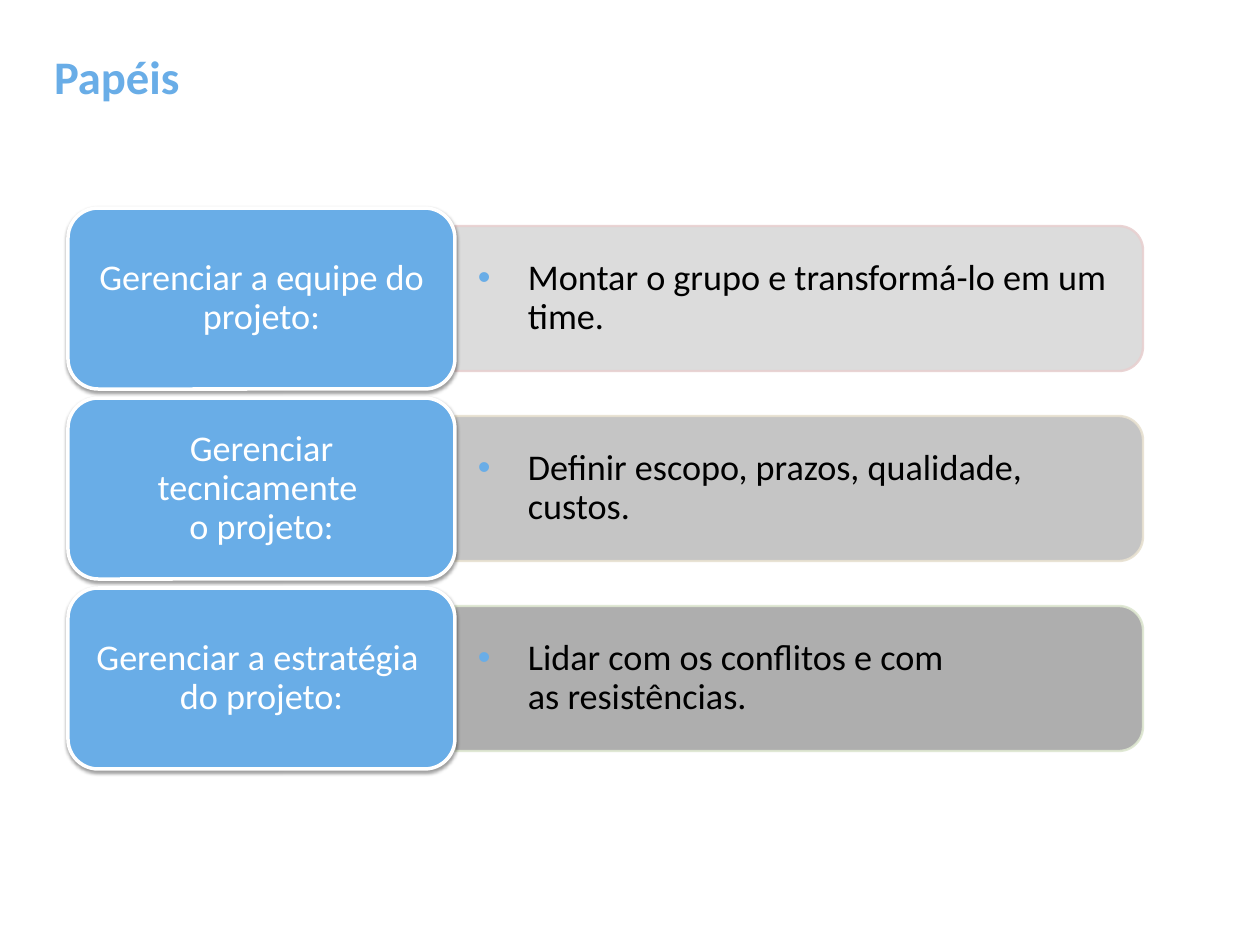
from dataclasses import dataclass

from lxml.etree import SubElement
from pptx import Presentation
from pptx.dml.color import RGBColor
from pptx.enum.shapes import MSO_SHAPE
from pptx.enum.text import MSO_ANCHOR, PP_ALIGN
from pptx.oxml.ns import qn
from pptx.util import Emu, Pt

PX = 914400 / 84
BLUE = RGBColor(0x69, 0xAD, 0xE7)
WHITE = RGBColor(0xFF, 0xFF, 0xFF)
BLACK = RGBColor(0x00, 0x00, 0x00)
FONT = "Calibri"
PITCH = 190


@dataclass(frozen=True)
class Role:
    name: str
    task: str
    fill: RGBColor
    line: RGBColor


ROLES = (
    Role("Gerenciar a equipe do projeto:", "Montar o grupo e transformá-lo em um time.",
         RGBColor(0xD9, 0xD9, 0xD9), RGBColor(0xE8, 0xD0, 0xD0)),
    Role("Gerenciar tecnicamente \vo projeto:", "Definir escopo, prazos, qualidade, custos.",
         RGBColor(0xBF, 0xBF, 0xBF), RGBColor(0xE8, 0xE1, 0xD1)),
    Role("Gerenciar a estratégia \vdo projeto:", "Lidar com os conflitos e com \vas resistências.",
         RGBColor(0xA6, 0xA6, 0xA6), RGBColor(0xDE, 0xE7, 0xD1)),
)


def px(n: float) -> Emu:
    return Emu(round(n * PX))


def box(x: int, y: int, w: int, h: int) -> tuple:
    return tuple(px(n) for n in (x, y, w, h))


def add_bullet(p, indent: int) -> None:
    p.level = 1
    pPr = p._p.get_or_add_pPr()
    pPr.set("marL", str(px(indent)))
    pPr.set("indent", str(-px(indent)))
    clr = SubElement(pPr, qn("a:buClr"))
    SubElement(clr, qn("a:srgbClr"), val=str(BLUE))
    SubElement(pPr, qn("a:buFont"), typeface="Arial")
    SubElement(pPr, qn("a:buChar"), char="•")


def write(sp, text: str, *, size: int = 31, color: RGBColor = BLACK, bold: bool = False,
          align=PP_ALIGN.LEFT, anchor=MSO_ANCHOR.MIDDLE, inset: tuple = (9, 5),
          spacing: float = 0.9, bullet: int = 0) -> None:
    tf = sp.text_frame
    tf.word_wrap = True
    tf.vertical_anchor = anchor
    tf.margin_left = tf.margin_right = px(inset[0])
    tf.margin_top = tf.margin_bottom = px(inset[1])
    p = tf.paragraphs[0]
    p.text = text
    if bullet:
        add_bullet(p, bullet)
    p.alignment = align
    p.line_spacing = spacing
    for r in p.runs:
        r.font.name = FONT
        r.font.size = Pt(size)
        r.font.bold = bold
        r.font.color.rgb = color


def add_panel(s, kind, frame: tuple, fill: RGBColor, line: RGBColor, width: int):
    sp = s.shapes.add_shape(kind, *frame)
    sp.shadow.inherit = False
    sp.fill.solid()
    sp.fill.fore_color.rgb = fill
    sp.line.color.rgb = line
    sp.line.width = Pt(width)
    return sp


def add_bar(s, role: Role, y: int) -> None:
    x, w, h = 455, 688, 145
    frame = box(x + (w - h) / 2, y + (h - w) / 2, h, w)
    sp = add_panel(s, MSO_SHAPE.ROUND_2_SAME_RECTANGLE, frame, role.fill, role.line, 2)
    sp.rotation = 90
    for clr in sp._element.spPr.iter(qn("a:srgbClr")):
        SubElement(clr, qn("a:alpha"), val="90000")
    tb = s.shapes.add_textbox(*box(x, y + 7, 681, 131))
    write(tb, role.task, inset=(23, 12), bullet=50)


def add_card(s, role: Role, y: int) -> None:
    sp = add_panel(s, MSO_SHAPE.ROUNDED_RECTANGLE, box(68, y, 387, 181), BLUE, WHITE, 3)
    effects = sp._element.spPr.find(qn("a:effectLst"))
    shadow = SubElement(effects, qn("a:outerShdw"), blurRad=str(Pt(3.1)), dist=str(Pt(1.6)),
                        dir="5400000", rotWithShape="0")
    clr = SubElement(shadow, qn("a:srgbClr"), val=str(BLACK))
    SubElement(clr, qn("a:alpha"), val="38000")
    write(sp, role.name, color=WHITE, align=PP_ALIGN.CENTER, inset=(11, 5))


def main() -> None:
    """Build the slide of project roles and save it."""
    prs = Presentation()
    prs.slide_width, prs.slide_height = px(1260), px(945)
    s = prs.slides.add_slide(prs.slide_layouts[6])
    title = s.shapes.add_textbox(*box(45, 43, 853, 82))
    write(title, "Papéis", size=40, color=BLUE, bold=True, anchor=MSO_ANCHOR.TOP, spacing=1.0)
    for i, role in enumerate(ROLES):
        add_bar(s, role, 226 + i * PITCH)
        add_card(s, role, 208 + i * PITCH)
    prs.save("out.pptx")


if __name__ == "__main__":
    main()
